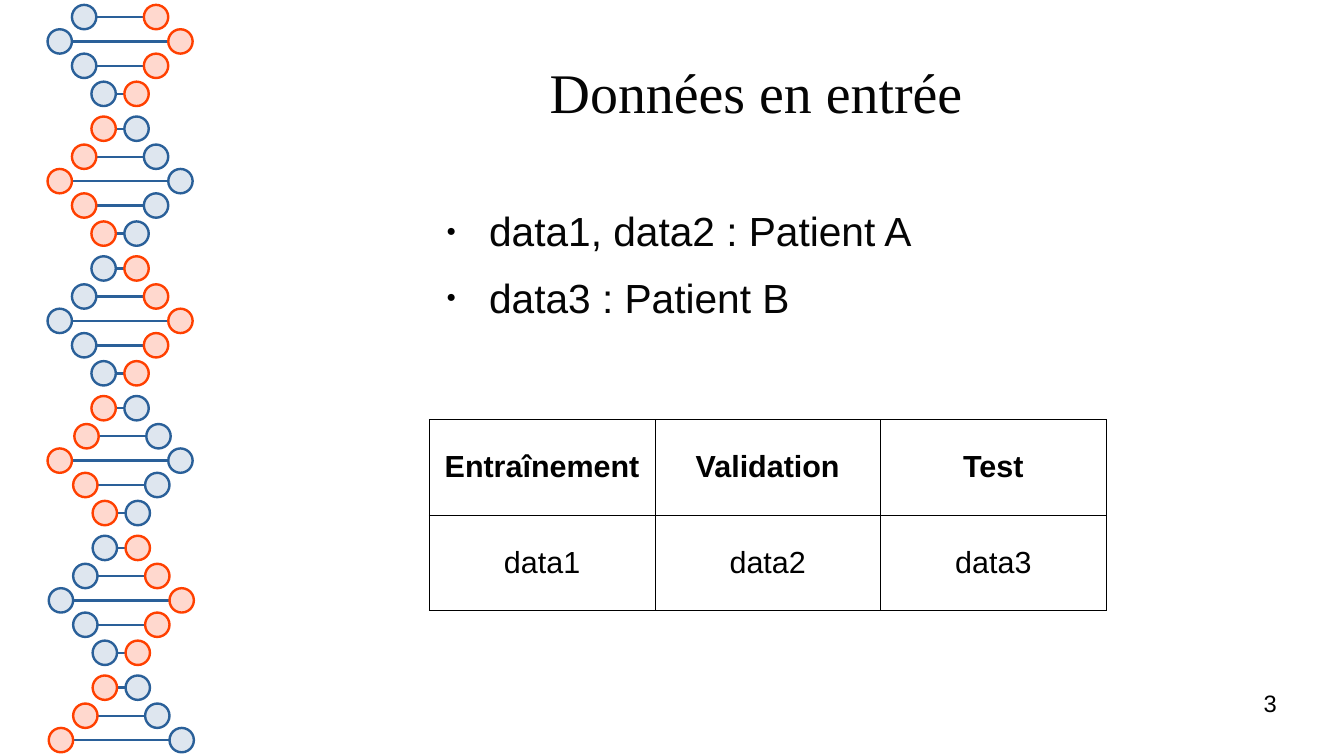
from dataclasses import dataclass

from lxml import etree
from pptx import Presentation, util as u
from pptx.dml.color import RGBColor
from pptx.enum import shapes, text
from pptx.oxml import ns

BLUE, PALE_BLUE = "2A6099", "DEE6EF"
ORANGE, PALE_ORANGE = "FF4000", "FFD8CE"
BLACK, INK = "000000", "050505"

# Helix geometry, in inches
BASE_SIZE = 0.2
FIRST_TURN_TOP, TURN_HEIGHT, TURNS = 0.24, 1.146, 6
MIRROR_SUM = 1.77  # left edge of a base plus left edge of its partner
TURN_PROFILE = [(-0.43, 0.75), (-0.2, 0.59), (0, 0.39), (0.2, 0.59), (0.43, 0.75)]
DRIFT_FROM = 3.8  # lower rungs sit slightly to the right
SHIFTED_RUNG, RUNG_SHIFT = (3, 1), 0.02
LINE_WIDTH = u.Pt(1.42)


@dataclass
class Rung:
    top: float
    left: float
    right: float
    blue_on_left: bool


def rgb(value: str) -> RGBColor:
    return RGBColor.from_string(value)


def set_font(paragraph, name: str, size: float, color: str, bold: bool = False) -> None:
    font = paragraph.font
    font.name, font.size, font.bold = name, u.Pt(size), bold
    font.color.rgb = rgb(color)


def place(shape, left: float, top: float, width: float, height: float) -> None:
    shape.left, shape.top = u.Inches(left), u.Inches(top)
    shape.width, shape.height = u.Inches(width), u.Inches(height)


def clear_margins(frame) -> None:
    frame.margin_left = frame.margin_right = frame.margin_top = frame.margin_bottom = 0
    frame.word_wrap = True
    frame.auto_size = text.MSO_AUTO_SIZE.NONE


def helix_rungs() -> list[Rung]:
    rungs = []
    for turn in range(TURNS):
        for step, (offset, inset) in enumerate(TURN_PROFILE):
            top = FIRST_TURN_TOP + turn * TURN_HEIGHT + offset
            if not 0 <= top <= 6:
                continue
            shift = 0.01 if top > DRIFT_FROM else 0
            if (turn, step) == SHIFTED_RUNG:
                shift = RUNG_SHIFT
            rungs.append(Rung(top, inset + shift, MIRROR_SUM - inset + shift, turn % 2 == 0))
    return rungs


def draw_bond(slide, rung: Rung) -> None:
    middle = u.Inches(rung.top + BASE_SIZE / 2)
    bond = slide.shapes.add_connector(
        shapes.MSO_CONNECTOR.STRAIGHT,
        u.Inches(rung.left + BASE_SIZE), middle, u.Inches(rung.right), middle)
    bond.line.color.rgb = rgb(BLUE)
    bond.line.width = LINE_WIDTH
    etree.SubElement(bond._element.spPr, ns.qn("a:effectLst"))


def draw_base(slide, left: float, top: float, blue: bool) -> None:
    base = slide.shapes.add_shape(
        shapes.MSO_SHAPE.OVAL, u.Inches(left), u.Inches(top),
        u.Inches(BASE_SIZE), u.Inches(BASE_SIZE))
    base.shadow.inherit = False
    base.fill.solid()
    base.fill.fore_color.rgb = rgb(PALE_BLUE if blue else PALE_ORANGE)
    base.line.color.rgb = rgb(BLUE if blue else ORANGE)
    base.line.width = LINE_WIDTH


def set_bullet(paragraph) -> None:
    properties = paragraph._p.get_or_add_pPr()
    properties.set("marL", str(u.Inches(0.47)))
    properties.set("indent", str(u.Inches(-0.35)))
    color = etree.SubElement(properties, ns.qn("a:buClr"))
    etree.SubElement(color, ns.qn("a:srgbClr"), val=BLACK)
    etree.SubElement(properties, ns.qn("a:buSzPct"), val="40000")
    etree.SubElement(properties, ns.qn("a:buFont"), typeface="Arial")
    etree.SubElement(properties, ns.qn("a:buChar"), char="●")


def set_borders(cell) -> None:
    properties = cell._tc.get_or_add_tcPr()
    for position, side in enumerate(("lnL", "lnR", "lnT", "lnB")):
        border = etree.Element(ns.qn(f"a:{side}"), w=str(u.Pt(0.57)))
        fill = etree.SubElement(border, ns.qn("a:solidFill"))
        etree.SubElement(fill, ns.qn("a:srgbClr"), val=BLACK)
        properties.insert(position, border)


def draw_title(slide, wording: str) -> None:
    title = slide.shapes.title
    place(title, 1.77, 0.24, 8.86, 1.02)
    clear_margins(title.text_frame)
    title.text_frame.vertical_anchor = text.MSO_ANCHOR.MIDDLE
    title.text_frame.text = wording
    heading = title.text_frame.paragraphs[0]
    heading.alignment = text.PP_ALIGN.CENTER
    set_font(heading, "Times New Roman", 33, INK)


def draw_patients(slide, patients: list[str]) -> None:
    body = slide.placeholders[1]
    place(body, 3.54, 1.69, 5.51, 1.06)
    clear_margins(body.text_frame)
    body.text_frame.text = "\n".join(patients)
    for patient in body.text_frame.paragraphs:
        patient.space_before, patient.space_after = u.Pt(0), u.Pt(10.6)
        set_bullet(patient)
        set_font(patient, "Arial", 24, INK)


def draw_datasets(slide, rows: list[list[str]]) -> None:
    datasets = slide.shapes.add_table(
        len(rows), len(rows[0]), u.Inches(3.52), u.Inches(3.44),
        u.Inches(5.55), u.Inches(1.57)).table
    datasets.horz_banding = False
    for row_index, row in enumerate(rows):
        for column_index, wording in enumerate(row):
            cell = datasets.cell(row_index, column_index)
            cell.text = wording
            cell.vertical_anchor = text.MSO_ANCHOR.MIDDLE
            cell.fill.background()
            set_borders(cell)
            label = cell.text_frame.paragraphs[0]
            label.alignment = text.PP_ALIGN.CENTER
            set_font(label, "Arial", 18, BLACK, bold=row_index == 0)


def draw_page_number(slide, number: str) -> None:
    page = slide.shapes.add_textbox(
        u.Inches(7.9), u.Inches(5.65), u.Inches(2.57), u.Inches(0.43)).text_frame
    clear_margins(page)
    page.text = number
    page.paragraphs[0].alignment = text.PP_ALIGN.RIGHT
    set_font(page.paragraphs[0], "Arial", 14, BLACK)


def main() -> None:
    deck = Presentation()
    deck.slide_width, deck.slide_height = u.Inches(11.02), u.Inches(6.2)
    slide = deck.slides.add_slide(deck.slide_layouts[1])

    # DNA helix: bonds first, bases on top
    rungs = helix_rungs()
    for rung in rungs:
        draw_bond(slide, rung)
    for rung in rungs:
        draw_base(slide, rung.left, rung.top, rung.blue_on_left)
        draw_base(slide, rung.right, rung.top, not rung.blue_on_left)

    # Content
    draw_title(slide, "Données en entrée")
    draw_patients(slide, ["data1, data2 : Patient A", "data3 : Patient B"])
    draw_datasets(slide, [["Entraînement", "Validation", "Test"],
                          ["data1", "data2", "data3"]])
    draw_page_number(slide, "3")

    deck.save("out.pptx")


if __name__ == "__main__":
    main()
